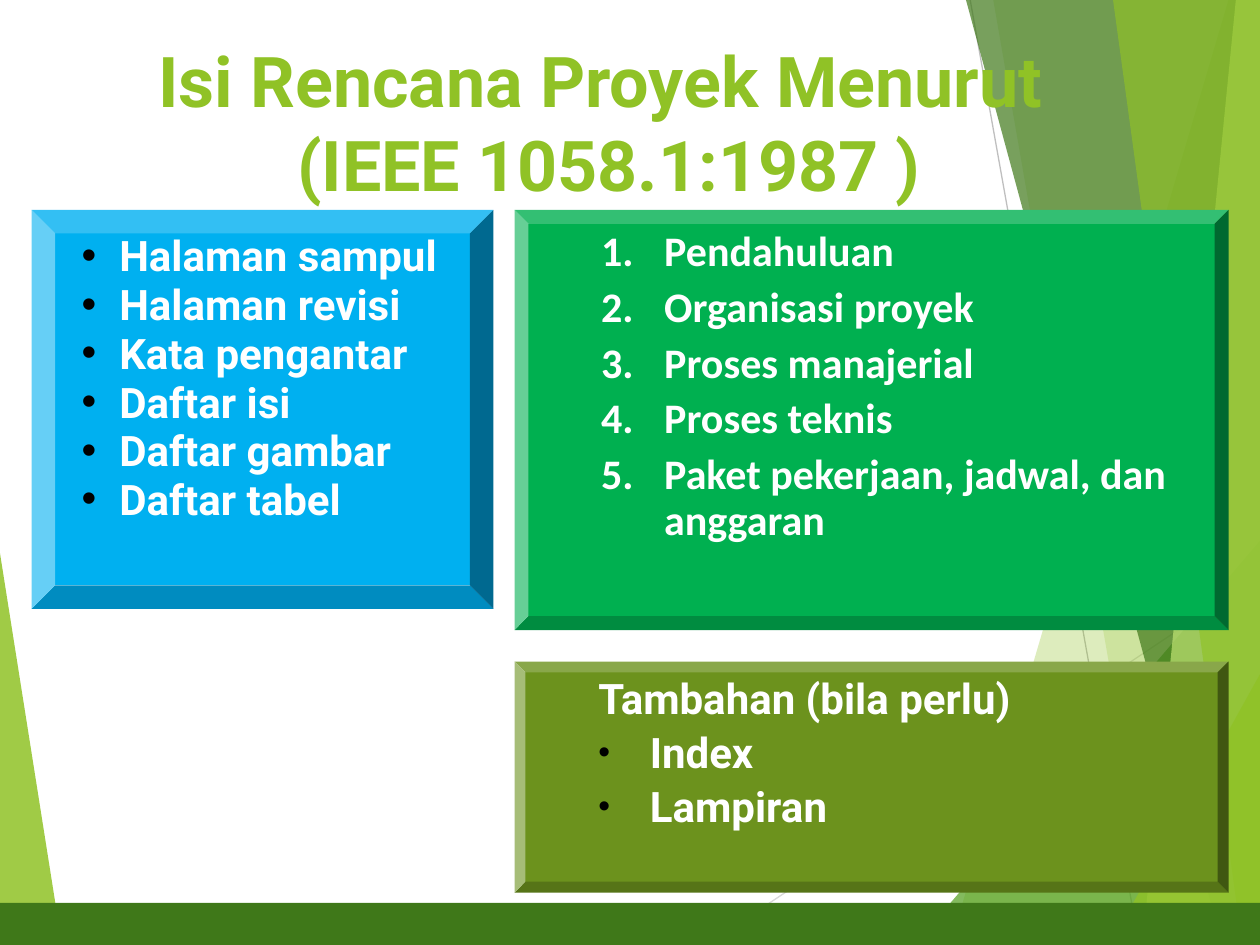
from lxml.etree import SubElement
from pptx import Presentation
from pptx.dml.color import RGBColor
from pptx.enum.shapes import MSO_CONNECTOR as CONNECTOR, MSO_SHAPE as SHAPE
from pptx.enum.text import MSO_ANCHOR as ANCHOR, PP_ALIGN as ALIGN
from pptx.oxml.ns import qn
from pptx.util import Inches, Pt

WHITE = RGBColor(0xFF, 0xFF, 0xFF)
LIME = RGBColor(0x90, 0xC2, 0x26)
PALE_LIME = RGBColor(0xC0, 0xE4, 0x74)
LEAF = RGBColor(0x54, 0xA0, 0x21)
FOREST = RGBColor(0x3F, 0x78, 0x19)
BLUE = RGBColor(0x00, 0xB0, 0xF0)
GREEN = RGBColor(0x00, 0xB0, 0x50)
OLIVE = RGBColor(0x6C, 0x92, 0x1D)
LIGHT_GRAY = RGBColor(0xD9, 0xD9, 0xD9)
GRAY = RGBColor(0xBF, 0xBF, 0xBF)

COLS, ROWS = 120, 90
FONT = "Roboto"


class SlideBuilder:
    """Draws on one slide; lengths are columns and rows of a 120 x 90 grid."""

    def __init__(self, prs):
        self.slide = prs.slides.add_slide(prs.slide_layouts[6])
        self.shapes = self.slide.shapes
        self.col = prs.slide_width / COLS
        self.row = prs.slide_height / ROWS

    def at(self, *lengths):
        """Turn alternating columns and rows into EMU."""
        return [round(n * (self.row if i % 2 else self.col))
                for i, n in enumerate(lengths)]

    def paint(self, sp, color, opacity=100):
        sp.shadow.inherit = False
        sp.fill.solid()
        sp.fill.fore_color.rgb = color
        sp.line.fill.background()
        if opacity < 100:
            clr = sp.fill._xPr.find(qn("a:solidFill"))[0]
            SubElement(clr, qn("a:alpha"), val=str(opacity * 1000))

    def polygon(self, points, color, opacity):
        start, *rest = [self.at(*point) for point in points]
        fb = self.shapes.build_freeform(*start)
        fb.add_line_segments(rest, close=True)
        self.paint(fb.convert_to_shape(), color, opacity)

    def facet(self, top, bottom, color, opacity):
        """Fill from the slanted edge top-bottom to the slide's right side."""
        points = [top, (bottom, ROWS), (COLS, ROWS)]
        if top[0] < COLS:
            points.append((COLS, top[1]))
        self.polygon(points, color, opacity)

    def line(self, start, end, color):
        cxn = self.shapes.add_connector(
            CONNECTOR.STRAIGHT, *self.at(*start, *end))
        cxn.line.color.rgb = color
        cxn.line.width = Pt(0.75)
        SubElement(cxn._element.spPr, qn("a:effectLst"))

    def box(self, shape, area, color):
        sp = self.shapes.add_shape(shape, *self.at(*area))
        self.paint(sp, color)
        return sp

    def run(self, p, text, size, color, font):
        r = p.add_run()
        r.text = text
        r.font.size, r.font.bold, r.font.name = Pt(size), True, font
        r.font.color.rgb = color

    def title(self, area, lines):
        tf = self.shapes.add_textbox(*self.at(*area)).text_frame
        tf.word_wrap = True
        p = tf.paragraphs[0]
        p.alignment = ALIGN.CENTER
        for i, text in enumerate(lines):
            if i:
                p.add_line_break()
            self.run(p, text, 40, LIME, FONT)

    def bullet(self, p, mark, margin, hanging, color, size):
        pPr = p._p.get_or_add_pPr()
        pPr.set("marL", str(Inches(margin)))
        pPr.set("indent", str(-Inches(hanging)))
        if mark is None:
            SubElement(pPr, qn("a:buNone"))
            return
        clr = SubElement(pPr, qn("a:buClr"))
        SubElement(clr, qn("a:srgbClr"), val=str(color))
        SubElement(pPr, qn("a:buSzPct"), val=str(size * 1000))
        if mark == "1.":
            SubElement(pPr, qn("a:buFont"), typeface="+mj-lt")
            SubElement(pPr, qn("a:buAutoNum"), type="arabicPeriod")
        else:
            SubElement(pPr, qn("a:buFont"), typeface="Arial")
            SubElement(pPr, qn("a:buChar"), char=mark)

    def panel(self, area, color, bevel, items, mark="•", heading=None,
              margin=0.49, hanging=0.3, spacing=0.9, before=4.8, font=FONT,
              mark_color=RGBColor(0, 0, 0), mark_size=100, left_inset=0.1):
        """Bevelled box with a list, and a line without a mark above it."""
        sp = self.box(SHAPE.BEVEL, area, color)
        sp.adjustments[0] = bevel
        tf = sp.text_frame
        tf.word_wrap = True
        tf.vertical_anchor = ANCHOR.TOP
        tf.margin_left = Inches(left_inset)
        rows = [(text, mark) for text in items]
        if heading:
            rows.insert(0, (heading, None))
        for i, (text, row_mark) in enumerate(rows):
            p = tf.add_paragraph() if i else tf.paragraphs[0]
            p.alignment, p.level = ALIGN.LEFT, 1
            p.line_spacing, p.space_before = spacing, Pt(before)
            self.bullet(p, row_mark, margin, hanging, mark_color, mark_size)
            self.run(p, text, 24, WHITE, font)


def draw_background(s):
    s.polygon([(0, 52.7), (5.9, ROWS), (0, ROWS)], LIME, 85)
    s.line((67.3, ROWS), (COLS, 54.8), LIGHT_GRAY)
    s.line((92.4, 0), (108.5, ROWS), GRAY)
    for top, bottom, color, opacity in [
        ((117, 0), 90.5, LIME, 30),
        ((94.6, 0), 110.3, LIME, 20),
        ((COLS, 51.5), 87.1, LEAF, 72),
        ((92, 0), 116.4, FOREST, 70),
        ((117.7, 0), 108.8, PALE_LIME, 70),
        ((106, 0), 118.3, LIME, 65),
        ((COLS, 64.2), 105.7, LIME, 80),
    ]:
        s.facet(top, bottom, color, opacity)
    s.box(SHAPE.RECTANGLE, (0, 86, COLS, 4), FOREST)


def main():
    prs = Presentation()
    prs.slide_width, prs.slide_height = Inches(10), Inches(7.5)
    s = SlideBuilder(prs)
    draw_background(s)
    s.title((0, 3, 116, 13),
            ["Isi Rencana Proyek Menurut ", "(IEEE 1058.1:1987 )"])
    s.panel((3, 20, 44, 38), BLUE, 0.059,
            ["Halaman sampul", "Halaman revisi", "Kata pengantar",
             "Daftar isi", "Daftar gambar", "Daftar tabel"],
            spacing=0.8, left_inset=0.02)
    s.panel((49, 20, 68, 40), GREEN, 0.033,
            ["Pendahuluan", "Organisasi proyek", "Proses manajerial",
             "Proses teknis", "Paket pekerjaan, jadwal, dan anggaran"],
            mark="1.", margin=0.98, hanging=0.5, before=6, font="Calibri",
            mark_color=WHITE)
    s.panel((49, 63, 68, 22), OLIVE, 0.047, ["Index", "Lampiran"],
            heading="Tambahan (bila perlu)", margin=0.89, hanging=0.41,
            mark_size=80)
    prs.save("out.pptx")


if __name__ == "__main__":
    main()
